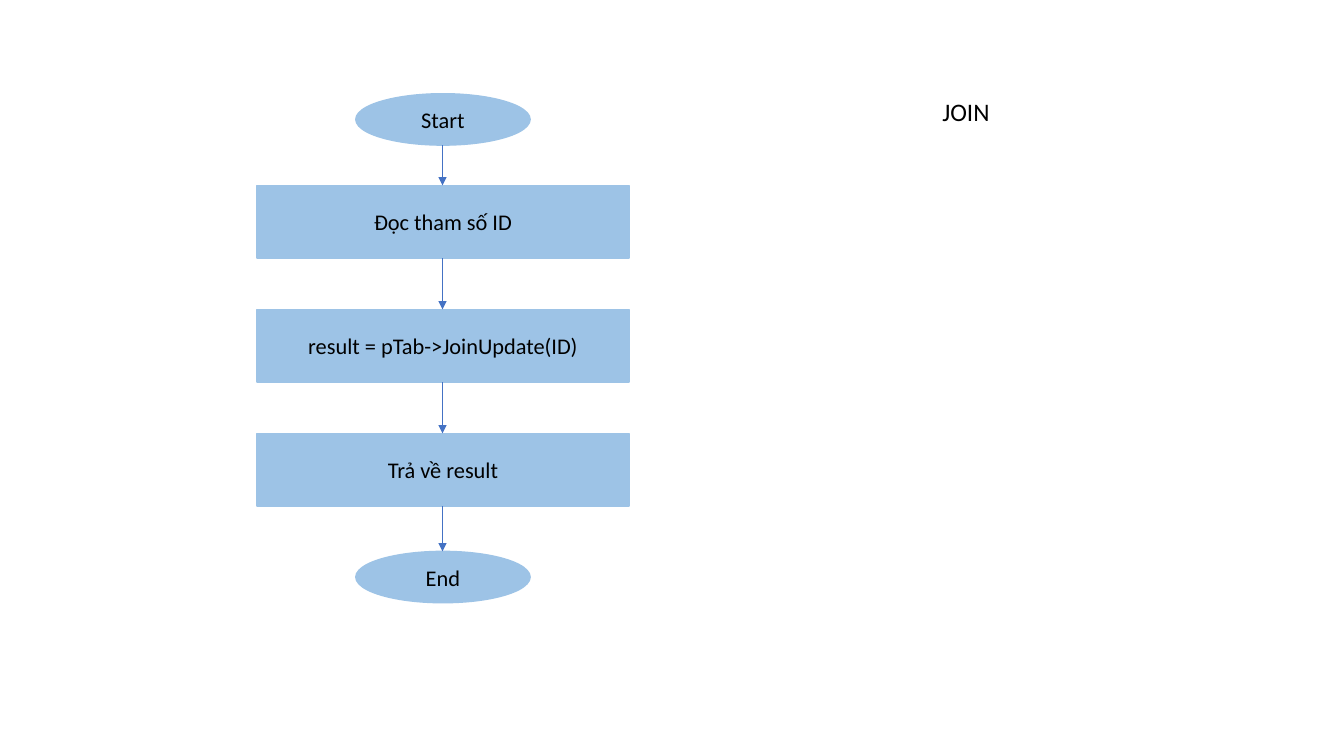
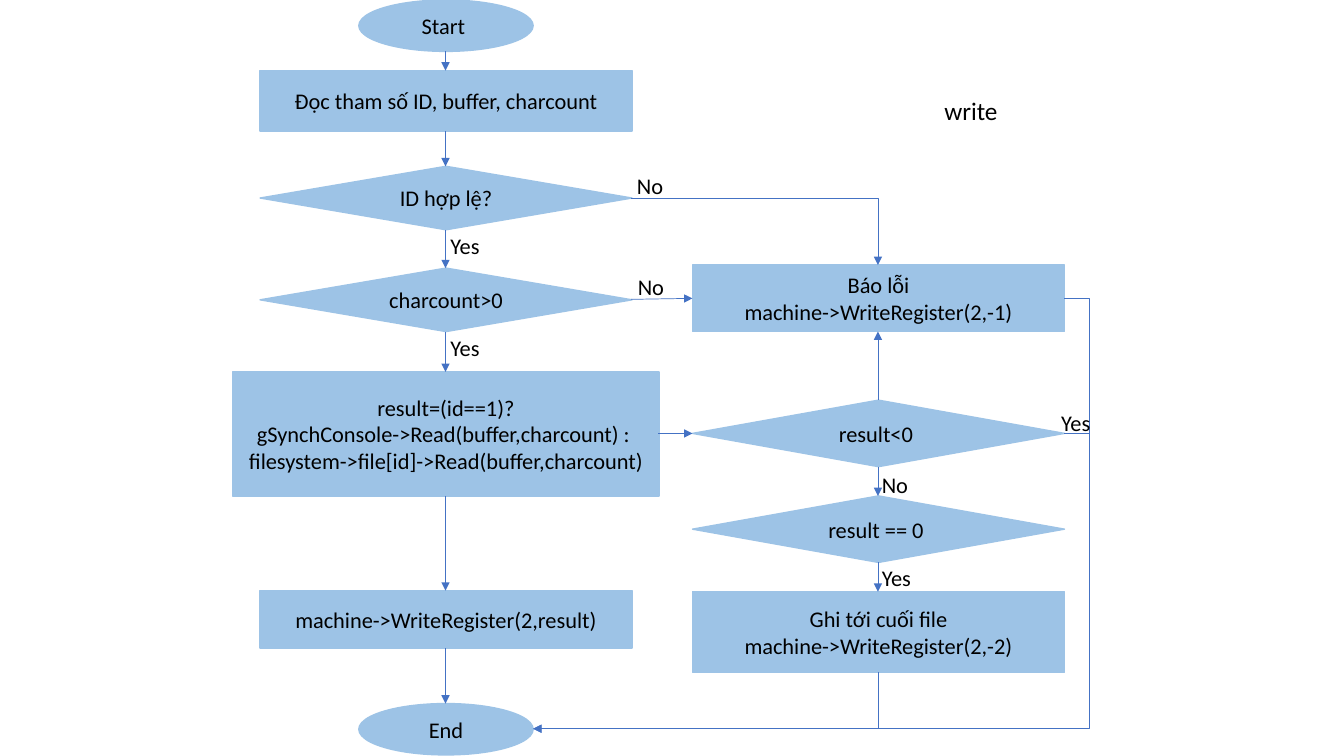
"""Build two flowchart slides: JOIN and write."""
from lxml.etree import SubElement
from pptx import Presentation
from pptx.dml.color import RGBColor
from pptx.enum.shapes import MSO_CONNECTOR, MSO_SHAPE
from pptx.enum.text import MSO_ANCHOR, MSO_AUTO_SIZE, PP_ALIGN
from pptx.oxml.ns import qn
from pptx.util import Pt

PX = 9144
FONT = "Calibri"
FILL, ARROW, TEXT = (RGBColor.from_string(c) for c in ("9DC3E6", "4472C4", "000000"))
OVAL, RECT, DIAMOND = MSO_SHAPE.OVAL, MSO_SHAPE.RECTANGLE, MSO_SHAPE.DIAMOND
BOX_W, OVAL_W, OVAL_H = 369, 173, 51


def add_text(s, kind, x, y, w, h, text, size=16):
    """Add a filled node, or a plain text label when kind is None."""
    box = [v * PX for v in (x, y, w, h)]
    if kind is None:
        sp = s.shapes.add_textbox(*box)
        sp.text_frame.word_wrap = False
        sp.text_frame.auto_size = MSO_AUTO_SIZE.SHAPE_TO_FIT_TEXT
    else:
        sp = s.shapes.add_shape(kind, *box)
        sp.shadow.inherit = False
        sp.fill.solid()
        sp.fill.fore_color.rgb = sp.line.color.rgb = FILL
        sp.line.width = Pt(1)
        sp.text_frame.word_wrap = True
        sp.text_frame.vertical_anchor = MSO_ANCHOR.MIDDLE
    sp.text_frame.text = text
    for p in sp.text_frame.paragraphs:
        p.alignment = PP_ALIGN.LEFT if kind is None else PP_ALIGN.CENTER
        p.font.name, p.font.size, p.font.color.rgb = FONT, Pt(size), TEXT


def link(s, x1, y1, x2, y2, bend=None, adj=None, arrow="tailEnd"):
    """Add a connector, straight or bent, with an optional arrowhead."""
    kind = MSO_CONNECTOR.ELBOW if bend else MSO_CONNECTOR.STRAIGHT
    sp = s.shapes.add_connector(kind, *(v * PX for v in (x1, y1, x2, y2)))
    sp.line.color.rgb, sp.line.width = ARROW, Pt(0.5)
    spPr = sp.element.spPr
    if bend:
        geom = spPr.find(qn("a:prstGeom"))
        geom.set("prst", bend)
        if adj is not None:
            SubElement(geom.find(qn("a:avLst")), qn("a:gd"), name="adj1", fmla=f"val {adj}")
    if arrow:
        SubElement(spPr.find(qn("a:ln")), qn(f"a:{arrow}"), type="triangle")
    SubElement(spPr, qn("a:effectLst"))


prs = Presentation()
prs.slide_width, prs.slide_height = 12192000, 750 * PX
join, write = (prs.slides.add_slide(prs.slide_layouts[6]) for _ in range(2))

add_text(join, None, 925, 91, 68, 40, "JOIN", 18)
add_text(write, None, 927, 90, 74, 40, "write", 18)

columns = [
    (join, 439, [
        (OVAL, 93, OVAL_W, OVAL_H, "Start"),
        (RECT, 184, BOX_W, 72, "Đọc tham số ID"),
        (RECT, 307, BOX_W, 72, "result = pTab->JoinUpdate(ID)"),
        (RECT, 430, BOX_W, 72, "Trả về result"),
        (OVAL, 547, OVAL_W, OVAL_H, "End"),
    ]),
    (write, 442, [
        (OVAL, 0, OVAL_W, OVAL_H, "Start "),
        (RECT, 70, BOX_W, 60, "Đọc tham số ID, buffer, charcount"),
        (DIAMOND, 165, BOX_W, 63, "ID hợp lệ?"),
        (DIAMOND, 266, BOX_W, 63, "charcount>0"),
        (RECT, 369, 423, 123, "result=(id==1)?\vgSynchConsole->Read(buffer,charcount) : \v"
                              "filesystem->file[id]->Read(buffer,charcount)"),
        (RECT, 586, BOX_W, 57, "machine->WriteRegister(2,result)"),
        (OVAL, 698, OVAL_W, OVAL_H, "End"),
    ]),
    (write, 871, [
        (DIAMOND, 397, BOX_W, 66, "result<0 "),
        (DIAMOND, 492, BOX_W, 66, "result == 0 "),
        (RECT, 587, BOX_W, 80, "Ghi tới cuối file\nmachine->WriteRegister(2,-2)"),
    ]),
]
for s, center, nodes in columns:
    bottom = None
    for kind, y, w, h, text in nodes:
        add_text(s, kind, center - w // 2, y, w, h, text)
        if bottom is not None:
            link(s, center, bottom, center, y)
        bottom = y + h

add_text(write, RECT, 687, 263, BOX_W, 66, "Báo lỗi\nmachine->WriteRegister(2,-1)")
link(write, 871, 397, 871, 329)
link(write, 626, 297, 687, 296)
link(write, 653, 430, 687, 430)
link(write, 626, 197, 871, 263, "bentConnector2")
link(write, 1056, 296, 529, 723, "bentConnector3", adj=-4700)
link(write, 529, 723, 871, 667, "bentConnector2", arrow="headEnd")
link(write, 1056, 430, 1081, 430, arrow=None)

labels = [
    ("No", 622, 166), ("No", 623, 266), ("No", 865, 462),
    ("Yes", 437, 225), ("Yes", 437, 327), ("Yes", 865, 555), ("Yes", 1043, 401),
]
for text, x, y in labels:
    add_text(write, None, x, y, 47 if text == "No" else 49, 37, text)

prs.save("out.pptx")
